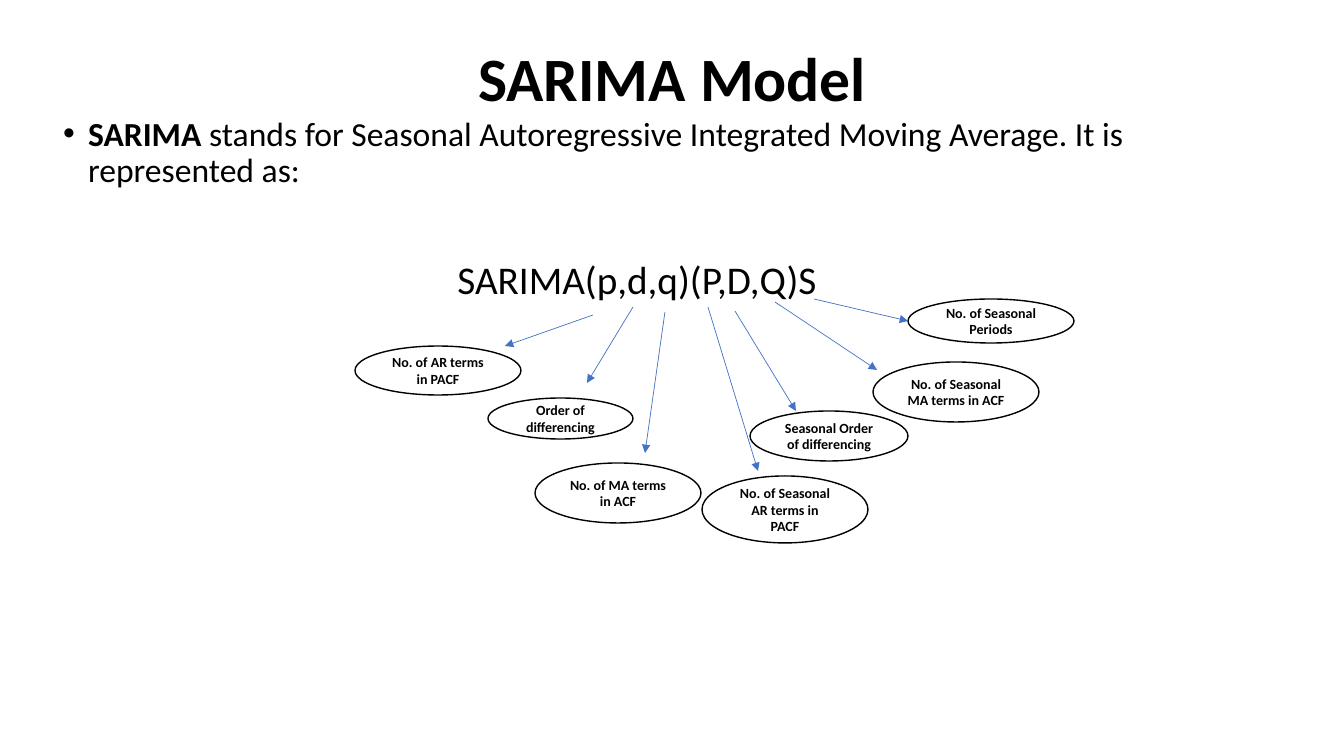
from lxml.etree import SubElement
from pptx import Presentation
from pptx.dml.color import RGBColor
from pptx.enum.shapes import MSO_CONNECTOR, MSO_SHAPE
from pptx.enum.text import MSO_ANCHOR, MSO_AUTO_SIZE, PP_ALIGN
from pptx.oxml.ns import qn
from pptx.util import Pt

PX = 914400 / 100.8
BLACK, WHITE, BLUE = "000000", "FFFFFF", "4472C4"


def box(*lengths):
    return [round(length * PX) for length in lengths]


def add_run(paragraph, text, size, bold=False):
    run = paragraph.add_run()
    run.text = text
    run.font.name = "Calibri"
    run.font.size = Pt(size)
    run.font.bold = bold
    run.font.color.rgb = RGBColor.from_string(BLACK)


deck = Presentation()
deck.slide_width, deck.slide_height = box(1344, 756)
slide = deck.slides.add_slide(deck.slide_layouts[1])
heading, body = slide.placeholders

# Title and body placeholders
for holder, place in ((heading, (93, 40, 1159, 83)), (body, (53, 112, 1159, 566))):
    holder.left, holder.top, holder.width, holder.height = box(*place)
    holder.text_frame.word_wrap = True
    holder.text_frame.auto_size = MSO_AUTO_SIZE.NONE

heading.text_frame.vertical_anchor = MSO_ANCHOR.MIDDLE
title_line = heading.text_frame.paragraphs[0]
title_line.alignment = PP_ALIGN.CENTER
title_line.line_spacing = 0.9
add_run(title_line, "SARIMA Model", 44, True)

# Definition as a bullet, then the centred formula
definition = body.text_frame.paragraphs[0]
add_run(definition, "SARIMA", 24, True)
add_run(definition, " stands for Seasonal Autoregressive Integrated Moving Average. "
        "It is represented as:", 24)
formula = body.text_frame.add_paragraph()
formula.alignment = PP_ALIGN.CENTER
add_run(formula, " SARIMA(p,d,q)(P,D,Q)S", 28)

for paragraph, indent, gap in ((definition, 25, 10), (formula, 0, 51)):
    paragraph.line_spacing = 0.9
    paragraph.space_before = Pt(gap)
    props = paragraph._p.get_or_add_pPr()
    props.set("marL", str(round(indent * PX)))
    props.set("indent", str(-round(indent * PX)))
    if indent:
        SubElement(props, qn("a:buFont"), typeface="Arial")
        SubElement(props, qn("a:buChar"), char="•")
    else:
        SubElement(props, qn("a:buNone"))

# Meaning of each parameter: label, ellipse box, arrow ends
parameters = [
    ("No. of AR terms in PACF", (355, 346, 166, 49), (593, 315, 505, 346)),
    ("No. of MA terms in ACF", (535, 463, 166, 60), (665, 312, 645, 453)),
    ("Order of differencing", (488, 398, 145, 41), (633, 307, 587, 383)),
    ("No. of Seasonal AR terms in PACF", (702, 476, 166, 67), (708, 307, 758, 471)),
    ("Seasonal Order of differencing", (750, 411, 158, 50), (735, 311, 796, 411)),
    ("No. of Seasonal MA terms in ACF", (873, 362, 166, 60), (775, 302, 877, 370)),
    ("No. of Seasonal Periods", (908, 299, 166, 44), (814, 299, 908, 321)),
]
for label, place, ends in parameters:
    meaning = slide.shapes.add_shape(MSO_SHAPE.OVAL, *box(*place))
    meaning.shadow.inherit = False
    meaning.fill.solid()
    meaning.fill.fore_color.rgb = RGBColor.from_string(WHITE)
    meaning.line.color.rgb = RGBColor.from_string(BLACK)
    meaning.line.width = Pt(1)
    meaning.text_frame.word_wrap = True
    meaning.text_frame.vertical_anchor = MSO_ANCHOR.MIDDLE
    caption = meaning.text_frame.paragraphs[0]
    caption.alignment = PP_ALIGN.CENTER
    add_run(caption, label, 10, True)

    arrow = slide.shapes.add_connector(MSO_CONNECTOR.STRAIGHT, *box(*ends))
    arrow.line.color.rgb = RGBColor.from_string(BLUE)
    arrow.line.width = Pt(0.5)
    outline = arrow._element.spPr
    SubElement(outline.find(qn("a:ln")), qn("a:tailEnd"), type="triangle")
    SubElement(outline, qn("a:effectLst"))

deck.save("out.pptx")
